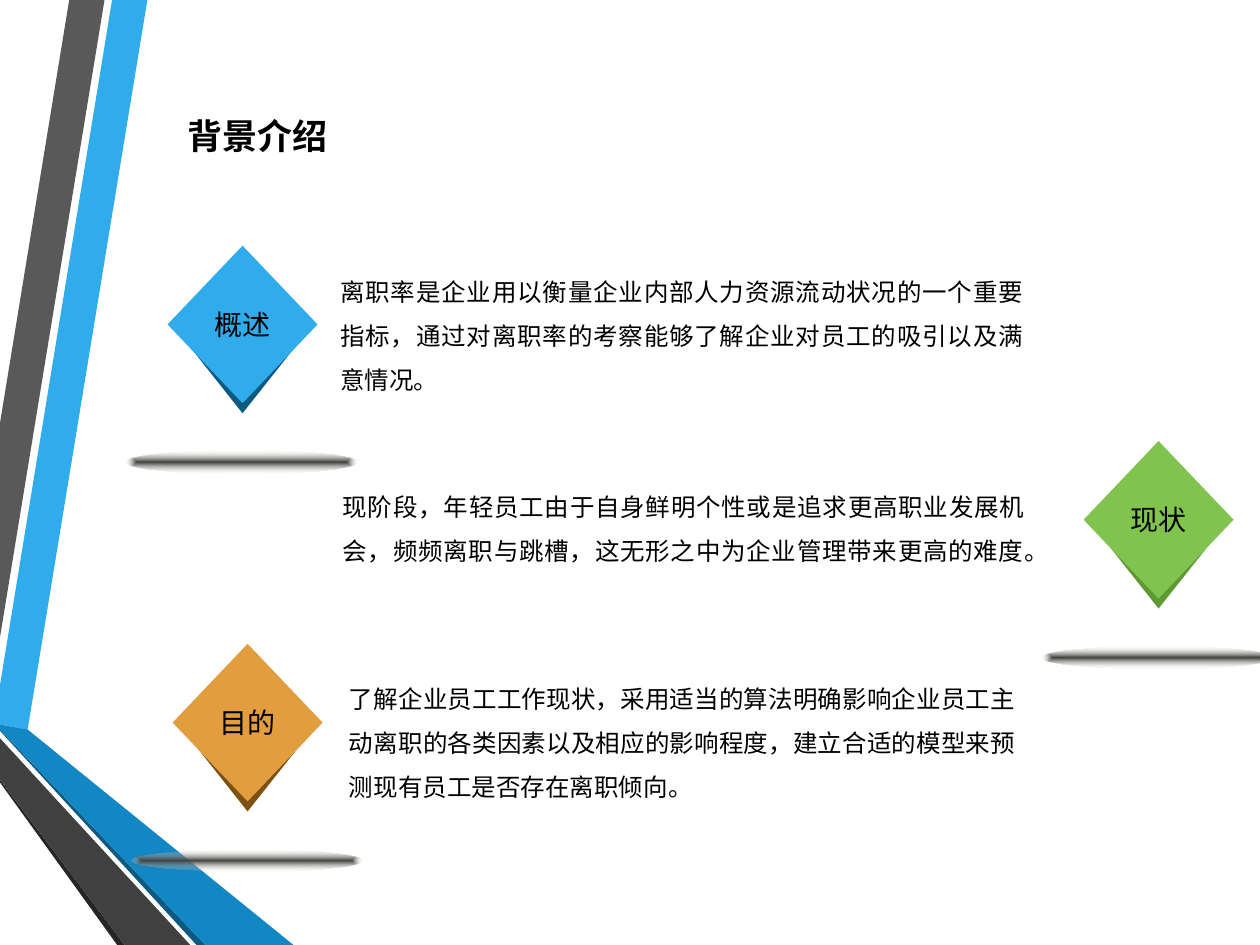
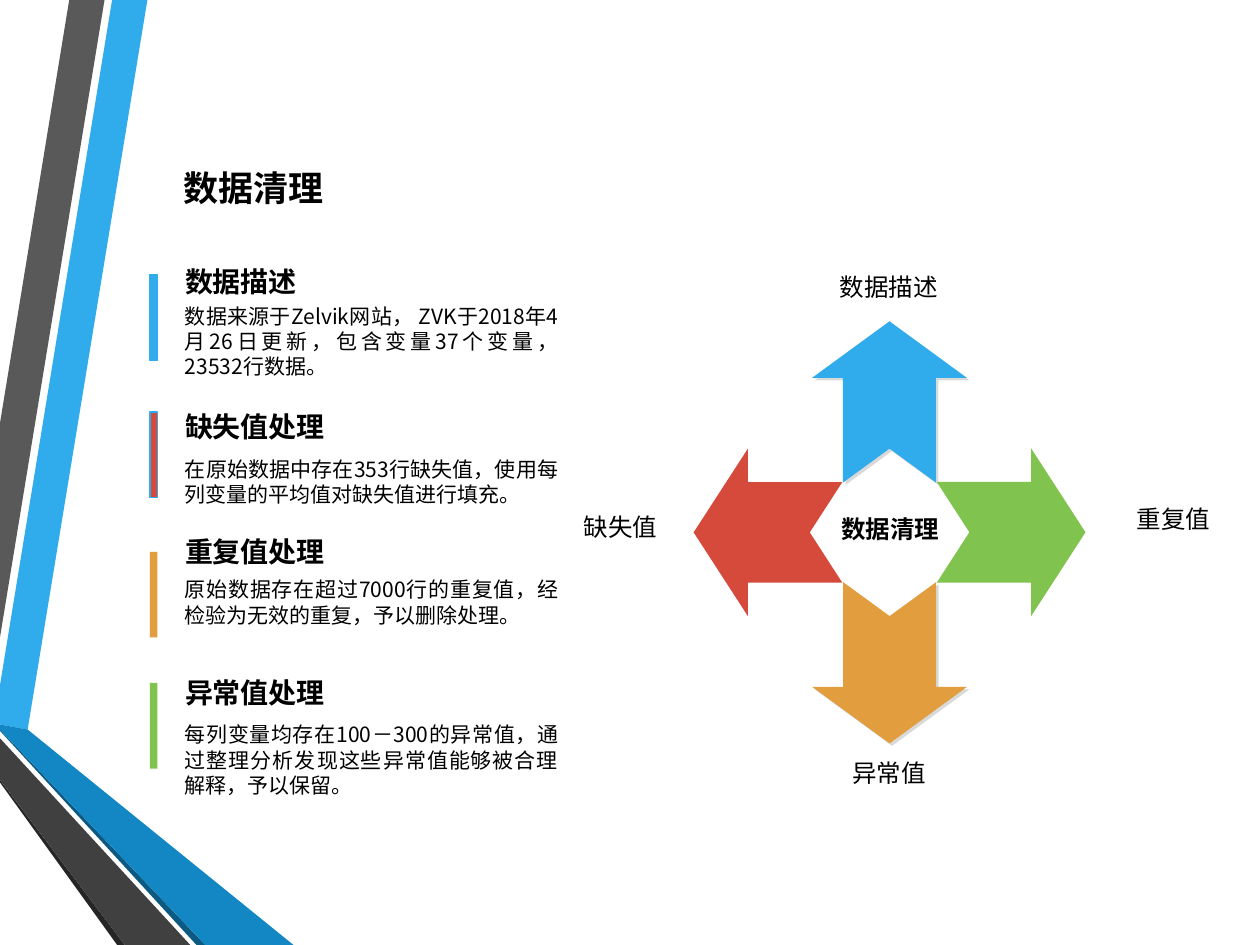
from lxml import etree
from pptx import Presentation
from pptx.dml.color import RGBColor
from pptx.enum.shapes import MSO_SHAPE
from pptx.enum.text import MSO_ANCHOR, PP_ALIGN
from pptx.oxml import parse_xml
from pptx.oxml.ns import nsdecls, qn
from pptx.util import Inches, Pt

DIAMOND, OVAL, RECT = MSO_SHAPE.DIAMOND, MSO_SHAPE.OVAL, MSO_SHAPE.RECTANGLE
ARROW = MSO_SHAPE.NOTCHED_RIGHT_ARROW
LEFT, CENTER, JUSTIFY = PP_ALIGN.LEFT, PP_ALIGN.CENTER, PP_ALIGN.JUSTIFY
MIDDLE = MSO_ANCHOR.MIDDLE

BLACK = RGBColor(0x00, 0x00, 0x00)
BLUE = RGBColor(0x30, 0xAC, 0xEC)
MID_BLUE = RGBColor(0x12, 0x87, 0xC3)
DARK_BLUE = RGBColor(0x0C, 0x5A, 0x82)
GREEN = RGBColor(0x80, 0xC3, 0x4F)
DARK_GREEN = RGBColor(0x5F, 0x99, 0x34)
ORANGE = RGBColor(0xE2, 0x9D, 0x3E)
DARK_ORANGE = RGBColor(0x7D, 0x50, 0x13)
RED = RGBColor(0xD6, 0x4A, 0x3B)
GREY = RGBColor(0x59, 0x59, 0x59)
DARK_GREY = RGBColor(0x40, 0x40, 0x40)
CHARCOAL = RGBColor(0x26, 0x26, 0x26)

FONT, DIAMOND_FONT = "Noto Sans CJK SC", "Roboto"

# The slide is a grid of 1000 columns by 750 rows of square cells
COLS, ROWS = 1000, 750
CELL = Inches(0.01)

# Ribbons down the left edge, from back to front
RIBBONS = [
    (BLUE, [(0, 544), (0, 575), (22, 579), (117, 0), (89, 0)]),
    (GREY, [(83, 0), (55, 0), (0, 336), (0, 506)]),
    (CHARCOAL, [(0, 619), (0, 621), (93, ROWS), (99, ROWS)]),
    (DARK_BLUE, [(0, 579), (0, 580), (156, ROWS), (163, ROWS)]),
    (MID_BLUE, [(0, 579), (163, ROWS), (233, ROWS), (22, 579), (0, 575)]),
    (DARK_GREY, [(0, 619), (99, ROWS), (151, ROWS), (0, 586)]),
]

# Diamond position, colours and label; text position, width and wording
TOPICS = [
    (133, 195, BLUE, DARK_BLUE, "概述", 259, 202, 564,
     "离职率是企业用以衡量企业内部人力资源流动状况的一个重要指标，"
     "通过对离职率的考察能够了解企业对员工的吸引以及满意情况。"),
    (860, 350, GREEN, DARK_GREEN, "现状", 261, 373, 563,
     "现阶段，年轻员工由于自身鲜明个性或是追求更高职业发展机会，"
     "频频离职与跳槽，这无形之中为企业管理带来更高的难度。"),
    (137, 511, ORANGE, DARK_ORANGE, "目的", 266, 525, 551,
     "了解企业员工工作现状，采用适当的算法明确影响企业员工主动离职的各类因素"
     "以及相应的影响程度，建立合适的模型来预测现有员工是否存在离职倾向。"),
]

# Bar row, bar fill, bar outline, heading row, heading, text row, text
STEPS = [
    (218, BLUE, BLUE, 205, "数据描述", 236,
     "数据来源于Zelvik网站， ZVK于2018年4月26日更新，包含变量37个变量，23532行数据。"),
    (327, RED, BLUE, 320, "缺失值处理", 357,
     "在原始数据中存在353行缺失值，使用每列变量的平均值对缺失值进行填充。"),
    (438, ORANGE, None, 419, "重复值处理", 453,
     "原始数据存在超过7000行的重复值，经检验为无效的重复，予以删除处理。"),
    (542, GREEN, None, 531, "异常值处理", 568,
     "每列变量均存在100－300的异常值，通过整理分析发现这些异常值能够被合理解释，予以保留。"),
]

# Direction, size, rotation, colour, shadow; label and its position
ARROWS = [
    (0, -1, 128, 123, 270, BLUE, True, "数据描述", 637, 205),
    (1, 0, 118, 133, 0, GREEN, False, "重复值", 863, 389),
    (-1, 0, 118, 133, 180, RED, False, "缺失值", 424, 395),
    (0, 1, 128, 123, 90, ORANGE, True, "异常值", 637, 591),
]
HUB_X, HUB_Y = 706, 422.5
REACH_X, REACH_Y = 96.5, 103.5


def cells(*counts):
    return [round(n * CELL) for n in counts]


def paint(s, fill, line=None):
    s.shadow.inherit = False
    s.fill.solid()
    s.fill.fore_color.rgb = fill
    if line is None:
        s.line.fill.background()
    else:
        s.line.color.rgb = line
        s.line.width = Pt(0.75)


def add_block(slide, kind, x, y, w, h, fill, line=None):
    s = slide.shapes.add_shape(kind, *cells(x, y, w, h))
    paint(s, fill, line)
    return s


def write(tf, text, size, align=LEFT, bold=False, spacing=None, font=FONT):
    p = tf.paragraphs[0]
    p.text = text
    p.alignment = align
    p.line_spacing = spacing
    p.font.size, p.font.bold, p.font.name = Pt(size), bold, font
    p.font.color.rgb = BLACK
    # East Asian letters take their own typeface entry
    latin = p._p.pPr.find(qn("a:defRPr")).find(qn("a:latin"))
    ea = etree.Element(qn("a:ea"), typeface=font)
    latin.addnext(ea)


def add_text(slide, x, y, w, h, text, size, margins=(10, 5), **style):
    tf = slide.shapes.add_textbox(*cells(x, y, w, h)).text_frame
    tf.word_wrap = True
    tf.margin_left, tf.margin_top = cells(*margins)
    tf.margin_right, tf.margin_bottom = cells(*margins)
    write(tf, text, size, **style)


def add_ribbons(slide):
    for colour, (start, *rest) in RIBBONS:
        builder = slide.shapes.build_freeform(*start, scale=CELL)
        builder.add_line_segments(rest, close=True)
        paint(builder.convert_to_shape(), colour)


def add_slide(prs, title, x, y):
    slide = prs.slides.add_slide(prs.slide_layouts[6])
    add_ribbons(slide)
    add_text(slide, x, y, 300, 44, title, 20, bold=True)
    return slide


def add_floor_shadow(slide, x, y):
    """A flat ellipse that fades out towards its edge."""
    s = add_block(slide, OVAL, x, y, 184, 18, DARK_GREY)
    solid = s._element.spPr.find(qn("a:solidFill"))
    fade = parse_xml(
        f'<a:gradFill {nsdecls("a")} rotWithShape="1"><a:gsLst>'
        f'<a:gs pos="0"><a:srgbClr val="{DARK_GREY}"/></a:gs>'
        '<a:gs pos="100000"><a:srgbClr val="EEECE1"><a:alpha val="0"/></a:srgbClr></a:gs>'
        '</a:gsLst><a:path path="shape">'
        '<a:fillToRect l="50000" t="50000" r="50000" b="50000"/></a:path></a:gradFill>')
    s._element.spPr.replace(solid, fade)


def add_diamond(slide, x, y, colour, dark, label):
    add_block(slide, DIAMOND, x + 10, y + 8, 99, 125, dark)
    tf = add_block(slide, DIAMOND, x, y, 119, 125, colour).text_frame
    tf.margin_left = tf.margin_top = tf.margin_right = tf.margin_bottom = 0
    tf.vertical_anchor = MIDDLE
    write(tf, label, 16, align=CENTER, font=DIAMOND_FONT)


def add_drop_shadow(s):
    effects = s._element.spPr.find(qn("a:effectLst"))
    effects.append(parse_xml(
        f'<a:outerShdw {nsdecls("a")} blurRad="0" dist="{Pt(2)}" dir="2700000" '
        'algn="tl" rotWithShape="0"><a:srgbClr val="000000">'
        '<a:alpha val="14000"/></a:srgbClr></a:outerShdw>'))


def add_arrow(slide, dx, dy, w, h, rotation, colour, shadow):
    x = HUB_X + dx * REACH_X - w / 2
    y = HUB_Y + dy * REACH_Y - h / 2
    s = add_block(slide, ARROW, x, y, w, h, colour)
    s.adjustments[0], s.adjustments[1] = 0.6, 0.365
    s.rotation = rotation
    if shadow:
        add_drop_shadow(s)


def add_step(slide, bar_y, colour, outline, head_y, heading, text_y, text):
    add_block(slide, RECT, 119, bar_y, 6, 68, colour, outline)
    add_text(slide, 137, head_y, 219, 37, heading, 16, bold=True)
    add_text(slide, 137, text_y, 316, 71, text, 12, align=JUSTIFY)


def build_background(prs):
    slide = add_slide(prs, "背景介绍", 139, 86)
    for x, y, colour, dark, label, text_x, text_y, text_w, text in TOPICS:
        add_floor_shadow(slide, x - 33, y + 163)
        add_diamond(slide, x, y, colour, dark, label)
        add_text(slide, text_x, text_y, text_w, 117, text, 14,
                 margins=(11, 6), align=JUSTIFY, spacing=1.5)


def build_cleaning(prs):
    slide = add_slide(prs, "数据清理", 136, 127)
    for step in STEPS:
        add_step(slide, *step)
    # Four arrows around the hub
    for *arrow, label, x, y in ARROWS:
        add_arrow(slide, *arrow)
        add_text(slide, x, y, 137, 35, label, 14, margins=(7, 4),
                 align=CENTER, spacing=1.3)
    add_text(slide, 648, 404, 117, 31, "数据清理", 14, margins=(7, 4),
             align=CENTER, bold=True)


def main():
    prs = Presentation()
    prs.slide_width, prs.slide_height = cells(COLS, ROWS)
    build_background(prs)
    build_cleaning(prs)
    prs.save("out.pptx")


if __name__ == "__main__":
    main()
